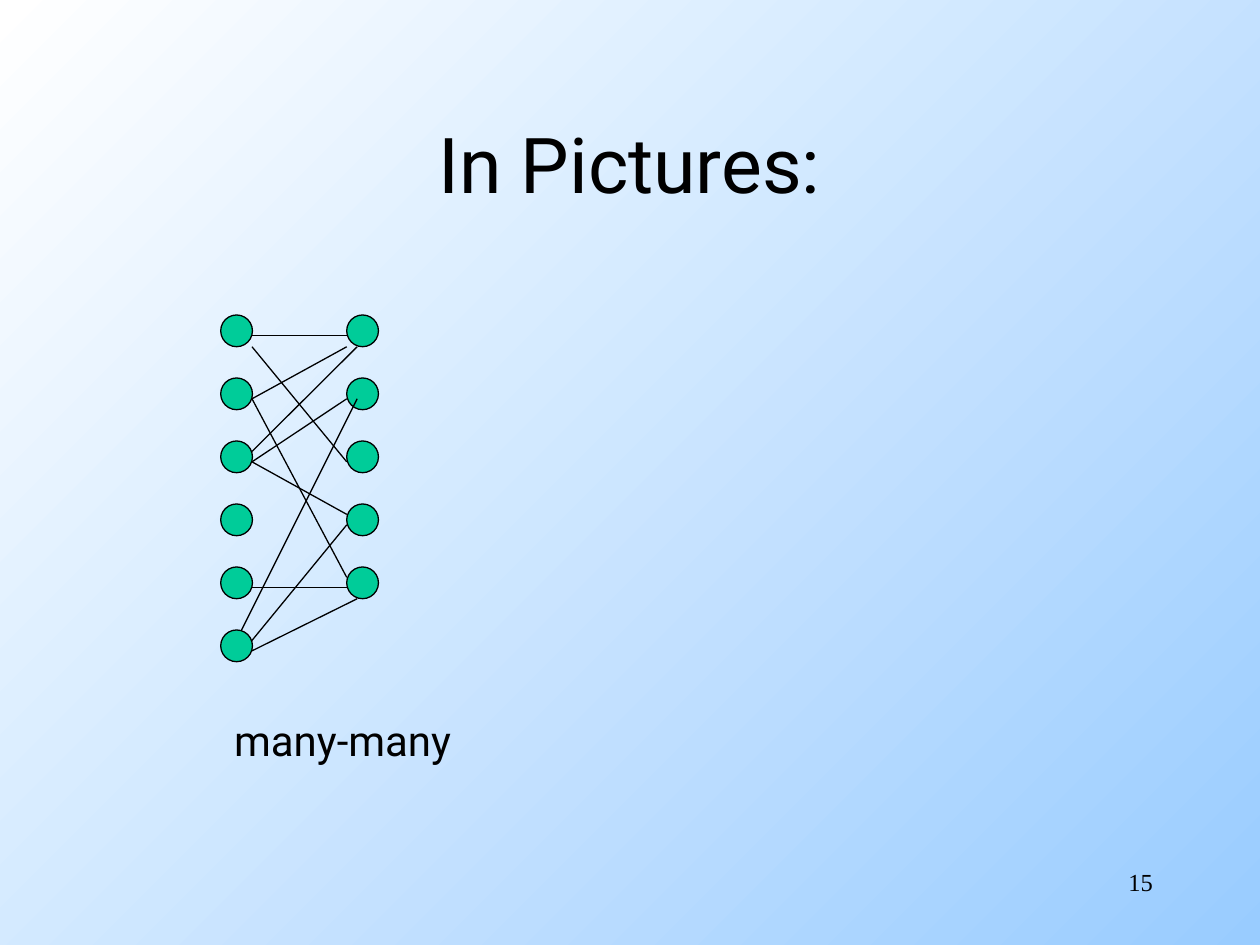
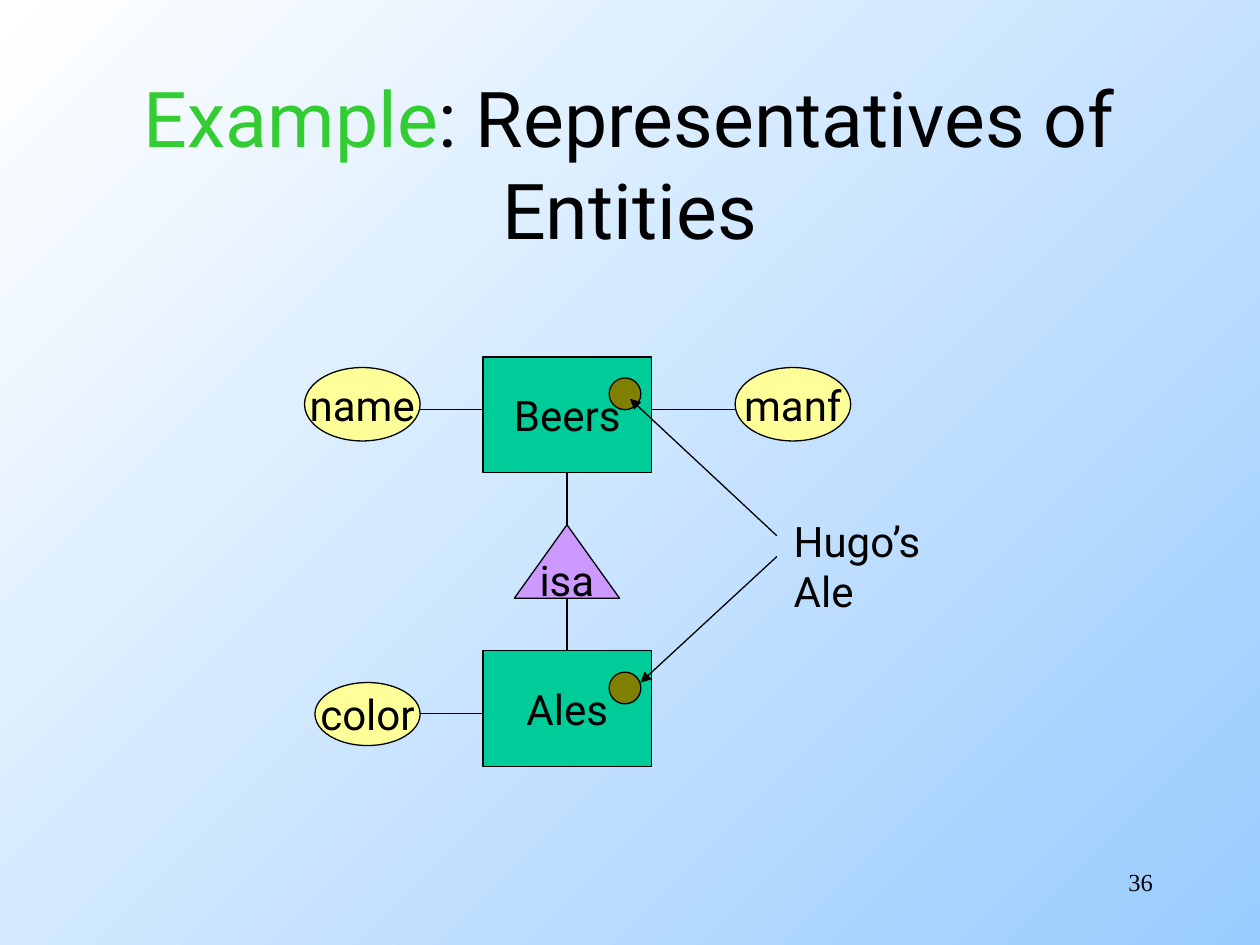
import pptx
import pptx.util
import pptx.dml.color
import pptx.enum.shapes
import pptx.enum.text
import pptx.oxml.ns
from lxml import etree

Cm, Pt = pptx.util.Cm, pptx.util.Pt
RGBColor = pptx.dml.color.RGBColor
MSO_SHAPE = pptx.enum.shapes.MSO_SHAPE
ALIGN = pptx.enum.text.PP_ALIGN
ANCHOR = pptx.enum.text.MSO_ANCHOR
qn = pptx.oxml.ns.qn

BLACK = RGBColor(0x00, 0x00, 0x00)
WHITE = RGBColor(0xFF, 0xFF, 0xFF)
SKY = RGBColor(0x99, 0xCC, 0xFF)
TEAL = RGBColor(0x00, 0xCC, 0x99)
GREEN = RGBColor(0x33, 0xCC, 0x33)
YELLOW = RGBColor(0xFF, 0xFF, 0x99)
VIOLET = RGBColor(0xCC, 0x99, 0xFF)
OLIVE = RGBColor(0x80, 0x80, 0x00)
FONT, NUMBER_FONT = "Roboto", "Times New Roman"
DOT = 0.64


def add_box(s, at, runs=(), kind=None, fill=None, size=24, font=FONT,
            align=ALIGN.CENTER, anchor=ANCHOR.MIDDLE, wrap=False):
    """Add a filled shape, or a text box when no kind is given (cm)."""
    at = [Cm(v) for v in at]
    if kind is None:
        sp = s.shapes.add_textbox(*at)
    else:
        sp = s.shapes.add_shape(kind, *at)
        sp.shadow.inherit = False
        sp.fill.solid()
        sp.fill.fore_color.rgb = fill
        sp.line.color.rgb = BLACK
        sp.line.width = Pt(0.75)
    tf = sp.text_frame
    tf.word_wrap = wrap
    tf.vertical_anchor = anchor
    p = tf.paragraphs[0]
    p.alignment = align
    for text, color in runs:
        r = p.add_run()
        r.text = text
        r.font.name, r.font.size, r.font.color.rgb = font, Pt(size), color
    return sp


def add_line(s, x1, y1, x2, y2, arrow=False):
    """Add a thin black line, with an arrowhead at its end if asked (cm)."""
    ln = s.shapes.add_connector(pptx.enum.shapes.MSO_CONNECTOR.STRAIGHT,
                                Cm(x1), Cm(y1), Cm(x2), Cm(y2))
    ln.line.color.rgb = BLACK
    ln.line.width = Pt(0.75)
    if arrow:
        etree.SubElement(ln.line._get_or_add_ln(), qn("a:tailEnd"), type="triangle")
    etree.SubElement(ln._element.spPr, qn("a:effectLst"))


prs = pptx.Presentation()
prs.slide_width, prs.slide_height = Cm(25.4), Cm(19.05)

# Shared background, slide number and title
pages = [
    ("15", [("In Pictures:", BLACK)]),
    ("36", [("Example", GREEN), (": Representatives of Entities", BLACK)]),
]
for number, title in pages:
    s = prs.slides.add_slide(prs.slide_layouts[6])
    bg = s.background.fill
    bg.gradient()
    bg.gradient_angle = 135
    for stop, color, position in zip(bg.gradient_stops, (SKY, WHITE), (0, 1)):
        stop.color.rgb = color
        stop.position = position
    add_box(s, (18.2, 17.35, 5.29, 1.27), [(number, BLACK)], size=14,
            font=NUMBER_FONT, align=ALIGN.RIGHT, anchor=ANCHOR.TOP, wrap=True)
    add_box(s, (1.9, 1.69, 21.59, 3.18), title, size=44, wrap=True)

# Slide 1: many-many relationship between two columns of entities
s = prs.slides[0]
for x, count in ((4.45, 6), (6.99, 5)):
    for i in range(count):
        add_box(s, (x, 6.35 + 1.27 * i, DOT, DOT), kind=MSO_SHAPE.OVAL, fill=TEAL)

LEFT, RIGHT, RIGHT_IN = 5.08, 6.99, 7.2
links = [
    (LEFT, 6.99, RIGHT, 9.31),
    (LEFT, 6.77, RIGHT, 6.77),
    (LEFT, 8.04, RIGHT, 6.99),
    (LEFT, 9.1, RIGHT_IN, 6.99),
    (LEFT, 8.04, RIGHT, 11.64),
    (LEFT, 11.85, RIGHT, 11.85),
    (LEFT, 13.12, RIGHT_IN, 12.07),
    (LEFT, 9.31, RIGHT, 8.04),
    (4.87, 12.7, RIGHT_IN, 8.04),
    (LEFT, 12.91, RIGHT, 10.58),
    (LEFT, 9.31, RIGHT, 10.37),
]
for link in links:
    add_line(s, *link)

sp = add_box(s, (4.47, 14.27, 5.21, 1.27), [("many-many", BLACK)],
             align=ALIGN.LEFT, anchor=ANCHOR.TOP)
sp.text_frame.auto_size = pptx.enum.text.MSO_AUTO_SIZE.SHAPE_TO_FIT_TEXT

# Slide 2: entity sets, isa triangle and attributes
s = prs.slides[1]
nodes = [
    ("Beers", MSO_SHAPE.RECTANGLE, TEAL, (9.74, 7.2, 3.39, 2.33)),
    ("Ales", MSO_SHAPE.RECTANGLE, TEAL, (9.74, 13.12, 3.39, 2.33)),
    ("isa", MSO_SHAPE.ISOSCELES_TRIANGLE, VIOLET, (10.37, 10.58, 2.12, 1.48)),
    ("name", MSO_SHAPE.OVAL, YELLOW, (6.14, 7.41, 2.33, 1.48)),
    ("manf", MSO_SHAPE.OVAL, YELLOW, (14.82, 7.41, 2.33, 1.48)),
    ("color", MSO_SHAPE.OVAL, YELLOW, (6.35, 13.76, 2.12, 1.27)),
]
for text, kind, fill, at in nodes:
    add_box(s, at, [(text, BLACK)], kind, fill)

edges = [
    (8.47, 8.26, 9.74, 8.26),
    (14.82, 8.26, 13.12, 8.26),
    (11.43, 10.58, 11.43, 9.53),
    (11.43, 12.07, 11.43, 13.12),
    (8.47, 14.39, 9.74, 14.39),
]
for edge in edges:
    add_line(s, *edge)

# One entity with a representative in each set
for y in (7.62, 13.55):
    add_box(s, (12.28, y, DOT, DOT), kind=MSO_SHAPE.OVAL, fill=OLIVE)
add_line(s, 15.66, 10.8, 12.7, 8.04, arrow=True)
add_line(s, 15.66, 11.22, 12.91, 13.76, arrow=True)
sp = add_box(s, (15.75, 10.26, 4.29, 1.27), [("Hugo’s Ale", BLACK)],
             align=ALIGN.LEFT, anchor=ANCHOR.TOP)
sp.text_frame.auto_size = pptx.enum.text.MSO_AUTO_SIZE.SHAPE_TO_FIT_TEXT

prs.save("out.pptx")
